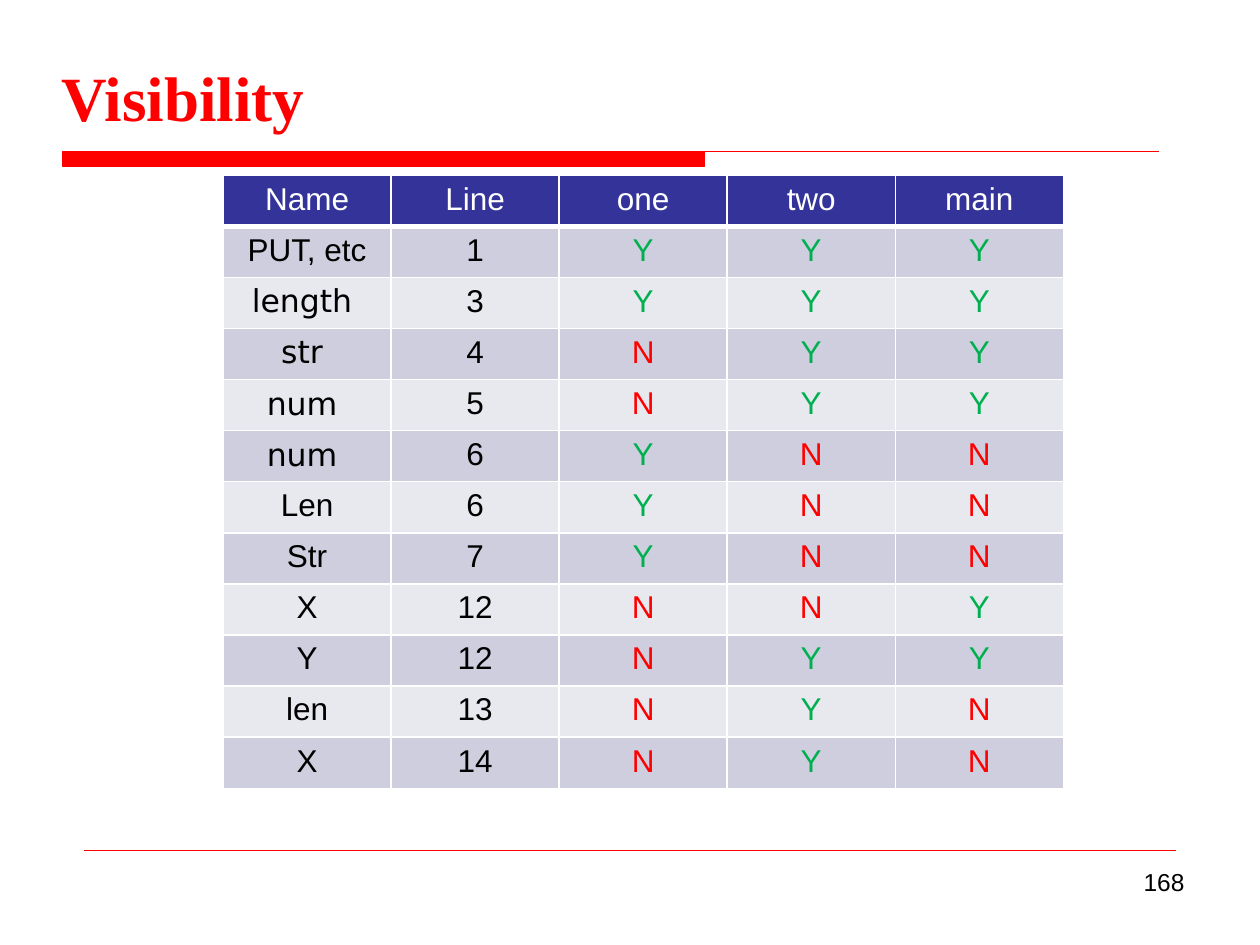
from lxml import etree
from pptx import Presentation
from pptx.dml.color import RGBColor
from pptx.enum.shapes import MSO_CONNECTOR
from pptx.enum.text import PP_ALIGN
from pptx.oxml.ns import qn
from pptx.util import Inches, Pt

STRAIGHT = MSO_CONNECTOR.STRAIGHT
LEFT, CENTER, RIGHT = PP_ALIGN.LEFT, PP_ALIGN.CENTER, PP_ALIGN.RIGHT

RED = RGBColor(0xFF, 0x00, 0x00)
GREEN = RGBColor(0x00, 0xB0, 0x50)
BLACK = RGBColor(0x00, 0x00, 0x00)
WHITE = RGBColor(0xFF, 0xFF, 0xFF)
NAVY = RGBColor(0x33, 0x33, 0x99)
BANDS = (RGBColor(0xE8, 0xE8, 0xEF), RGBColor(0xCE, 0xCE, 0xDE))

WIDTH, HEIGHT = 10, 7.5
HEADER = ("Name", "Line", "one", "two", "main")
# Name, line of declaration, visibility in one, two and main
SYMBOLS = (
    ("PUT, etc", "1", "YYY"),
    ("length ", "3", "YYY"),
    ("str ", "4", "NYY"),
    ("num ", "5", "NYY"),
    ("num ", "6", "YNN"),
    ("Len", "6", "YNN"),
    ("Str", "7", "YNN"),
    ("X", "12", "NNY"),
    ("Y", "12", "NYY"),
    ("len", "13", "NYN"),
    ("X", "14", "NYN"),
)
CODE_NAMES = ("length ", "str ", "num ")
MARK_COLORS = {"Y": GREEN, "N": RED}


class Deck:
    """Slide style and drawing methods; lengths are shares of the slide."""

    body_font, title_font, code_font = "Arial", "Times New Roman", "DejaVu Sans"

    def __init__(self, prs):
        self.prs = prs
        self.s = prs.slides.add_slide(prs.slide_layouts[6])

    def x(self, share):
        return round(self.prs.slide_width * share)

    def y(self, share):
        return round(self.prs.slide_height * share)

    def box(self, left, top, width, height):
        return self.x(left), self.y(top), self.x(width), self.y(height)

    def style(self, p, size, color, font=None, bold=False, align=LEFT):
        p.alignment = align
        for r in p.runs:
            r.font.name = font or self.body_font
            r.font.size = Pt(size)
            r.font.bold = bold
            r.font.color.rgb = color

    def text(self, words, area, size, color, **look):
        tf = self.s.shapes.add_textbox(*self.box(*area)).text_frame
        tf.text = words
        tf.word_wrap = True
        self.style(tf.paragraphs[0], size, color, **look)
        return tf

    def title(self, words, area):
        tf = self.text(words, area, 36, RED, font=self.title_font, bold=True)
        tf.margin_left = tf.margin_top = tf.margin_right = tf.margin_bottom = 0
        tf.word_wrap = False
        tf.paragraphs[0].line_spacing = Pt(33.7)

    def title_rule(self, left, top, bar_right, bar_bottom, right):
        """A thick bar that continues as a thin line."""
        x0, x1, x2 = self.x(left), self.x(bar_right), self.x(right)
        y0, y1 = self.y(top), self.y(bar_bottom)
        outline = self.s.shapes.build_freeform(x0, y0)
        outline.add_line_segments([(x1, y0), (x1, y1), (x0, y1)], close=True)
        outline.move_to(x0, y0)
        outline.add_line_segments([(x2, y0)], close=False)
        sp = outline.convert_to_shape()
        sp.shadow.inherit = False
        sp.fill.solid()
        sp.fill.fore_color.rgb = RED
        sp.line.color.rgb = RED
        sp.line.width = Pt(0.75)

    def line(self, left, right, y, color, width):
        sp = self.s.shapes.add_connector(
            STRAIGHT, self.x(left), self.y(y), self.x(right), self.y(y))
        sp.line.color.rgb = color
        sp.line.width = Pt(width)
        etree.SubElement(sp._element.spPr, qn("a:effectLst"))

    def borders(self, cell, bottom):
        tc_pr = cell._tc.get_or_add_tcPr()
        for side, width in (("L", 1), ("R", 1), ("T", 1), ("B", bottom)):
            ln = etree.SubElement(tc_pr, qn(f"a:ln{side}"), w=str(Pt(width)))
            fill = etree.SubElement(ln, qn("a:solidFill"))
            etree.SubElement(fill, qn("a:srgbClr"), val=str(WHITE))

    def cell(self, cell, words, fill, color, font=None, bottom=1):
        self.borders(cell, bottom)
        cell.fill.solid()
        cell.fill.fore_color.rgb = fill
        cell.text = words
        self.style(cell.text_frame.paragraphs[0], 18, color, font, align=CENTER)

    def visibility_table(self, area):
        rows, cols = len(SYMBOLS) + 1, len(HEADER)
        table = self.s.shapes.add_table(rows, cols, *self.box(*area)).table
        for col, words in enumerate(HEADER):
            self.cell(table.cell(0, col), words, NAVY, WHITE, bottom=3)
        for row, (name, number, marks) in enumerate(SYMBOLS, 1):
            fill = BANDS[row % 2]
            font = self.code_font if name in CODE_NAMES else self.body_font
            self.cell(table.cell(row, 0), name, fill, BLACK, font)
            self.cell(table.cell(row, 1), number, fill, BLACK)
            for col, mark in enumerate(marks, 2):
                self.cell(table.cell(row, col), mark, fill, MARK_COLORS[mark])


def main():
    prs = Presentation()
    prs.slide_width, prs.slide_height = Inches(WIDTH), Inches(HEIGHT)
    deck = Deck(prs)

    # Rules under the title and above the footer
    deck.title_rule(0.05, 1.2 / HEIGHT, 5.59 / WIDTH, 1.32 / HEIGHT, 0.92)
    deck.line(0.67 / WIDTH, 9.33 / WIDTH, 0.9, RED, 0.25)

    # Visibility of each name
    deck.visibility_table(
        (1.77 / WIDTH, 1.39 / HEIGHT, 6.67 / WIDTH, 4.87 / HEIGHT))

    # Title and slide number
    deck.title("Visibility", (0.49 / WIDTH, 0.08, 1.94 / WIDTH, 0.48 / HEIGHT))
    deck.text("168", (7.17 / WIDTH, 6.83 / HEIGHT, 2.33 / WIDTH, 0.52 / HEIGHT),
              14, BLACK, align=RIGHT)

    prs.save("out.pptx")


if __name__ == "__main__":
    main()
